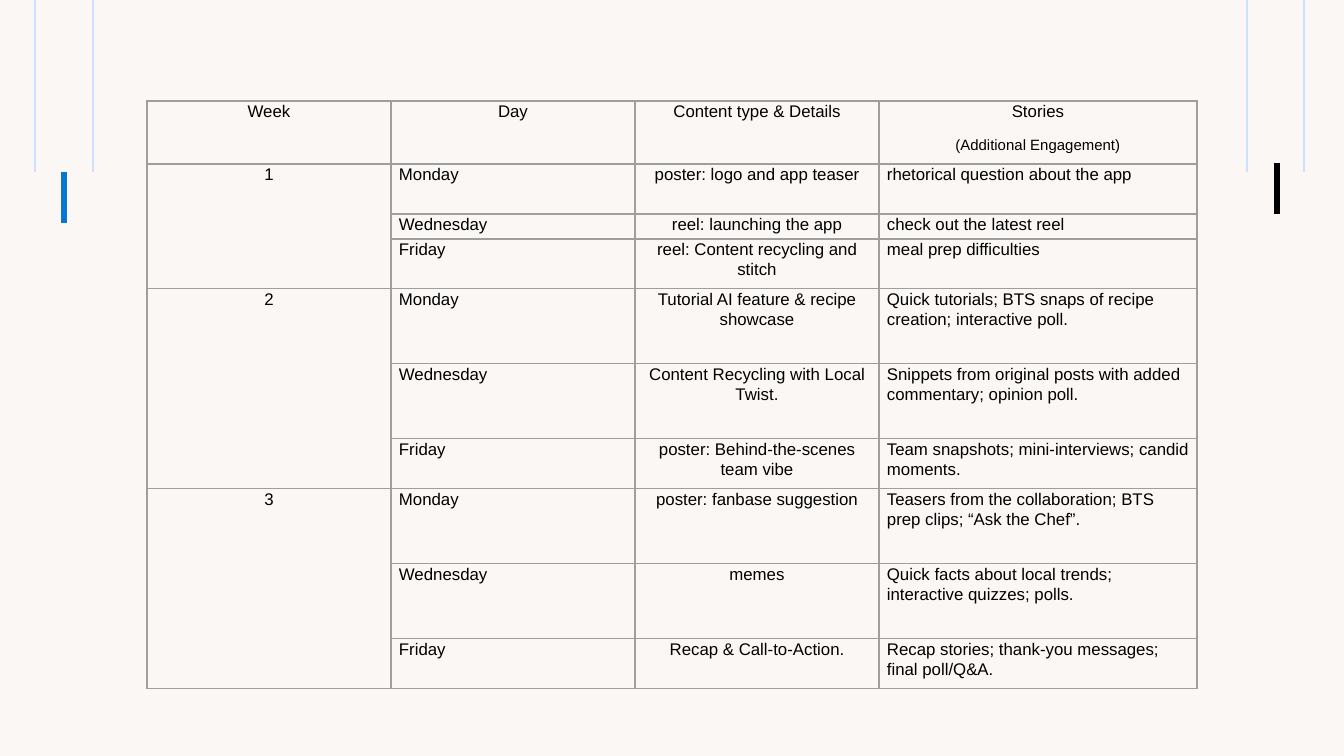
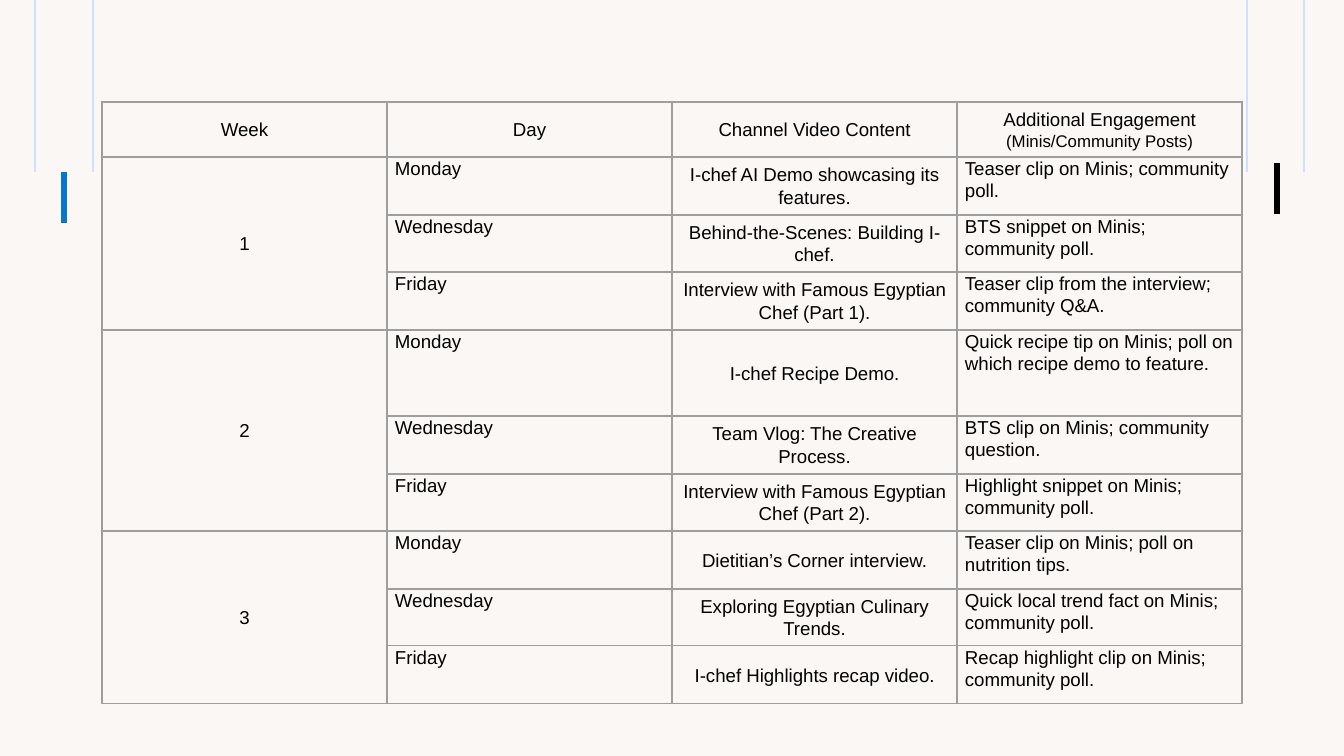
import pptx
import pptx.util
import pptx.dml.color
import pptx.enum.shapes
import pptx.enum.text
import pptx.oxml
import pptx.oxml.ns

PX = 914400 / 134.4
RGB = pptx.dml.color.RGBColor
PAPER = RGB(0xFB, 0xF7, 0xF4)
PALE = RGB(0xCE, 0xE0, 0xFF)
BLUE = RGB(0x06, 0x76, 0xD0)
BLACK = RGB(0, 0, 0)
GREY = RGB(0x9E, 0x9E, 0x9E)
FONT = "Arial"
TOP = pptx.enum.text.MSO_ANCHOR.TOP
MID = pptx.enum.text.MSO_ANCHOR.MIDDLE
LEFT = pptx.enum.text.PP_ALIGN.LEFT
CENTER = pptx.enum.text.PP_ALIGN.CENTER

# Side marks: x, top, bottom, colour, width in points
MARKS = [(x, 0, 172, PALE, 1.5) for x in (93, 35, 1304, 1247)]
MARKS += [(1277, 163, 214, BLACK, 3), (64, 172, 223, BLUE, 3)]

DAYS = ["Monday", "Wednesday", "Friday"]

POSTS = [
    ("poster: logo and app teaser", "rhetorical question about the app"),
    ("reel: launching the app", "check out the latest reel"),
    ("reel: Content recycling and stitch", "meal prep difficulties"),
    ("Tutorial AI feature & recipe showcase",
     "Quick tutorials; BTS snaps of recipe creation; interactive poll."),
    ("Content Recycling with Local Twist.",
     "Snippets from original posts with added commentary; opinion poll."),
    ("poster: Behind-the-scenes team vibe",
     "Team snapshots; mini-interviews; candid moments."),
    ("poster: fanbase suggestion",
     "Teasers from the collaboration; BTS prep clips; “Ask the Chef”."),
    ("memes", "Quick facts about local trends; interactive quizzes; polls."),
    ("Recap & Call-to-Action.",
     "Recap stories; thank-you messages; final poll/Q&A."),
]

VIDEOS = [
    ("I-chef AI Demo showcasing its features.",
     "Teaser clip on Minis; community poll."),
    ("Behind-the-Scenes: Building I-chef.",
     "BTS snippet on Minis; community poll."),
    ("Interview with Famous Egyptian Chef (Part 1).",
     "Teaser clip from the interview; community Q&A."),
    ("I-chef Recipe Demo.",
     "Quick recipe tip on Minis; poll on which recipe demo to feature."),
    ("Team Vlog: The Creative Process.",
     "BTS clip on Minis; community question."),
    ("Interview with Famous Egyptian Chef (Part 2).",
     "Highlight snippet on Minis; community poll."),
    ("Dietitian’s Corner interview.",
     "Teaser clip on Minis; poll on nutrition tips."),
    ("Exploring Egyptian Culinary Trends.",
     "Quick local trend fact on Minis; community poll."),
    ("I-chef Highlights recap video.",
     "Recap highlight clip on Minis; community poll."),
]


def px(n):
    return pptx.util.Emu(round(n * PX))


def style(item, **values):
    for name, value in values.items():
        setattr(item, name, value)


def mark(slide, x, top, bottom, color, width):
    line = slide.shapes.add_connector(
        pptx.enum.shapes.MSO_CONNECTOR.STRAIGHT,
        px(x), px(top), px(x), px(bottom))
    line.line.color.rgb = color
    line.line.width = pptx.util.Pt(width)
    line._element.spPr.append(pptx.oxml.parse_xml(
        f'<a:effectLst {pptx.oxml.ns.nsdecls("a")}/>'))


def edge(cell):
    props = cell._tc.get_or_add_tcPr()
    for side in "LRTB":
        props.append(pptx.oxml.parse_xml(
            f'<a:ln{side} {pptx.oxml.ns.nsdecls("a")} w="9525"><a:solidFill>'
            f'<a:srgbClr val="{GREY}"/></a:solidFill></a:ln{side}>'))
    cell.fill.background()


def write(cell, paras, align, anchor):
    """Each paragraph is a list of (text, size) runs."""
    style(cell, margin_left=px(8), margin_right=px(8), margin_top=0,
          margin_bottom=0, vertical_anchor=anchor)
    frame = cell.text_frame
    for i, runs in enumerate(paras):
        para = frame.add_paragraph() if i else frame.paragraphs[0]
        style(para, alignment=align, line_spacing=1.07,
              space_after=pptx.util.Pt(8))
        for text, size in runs:
            run = para.add_run()
            run.text = text
            style(run.font, name=FONT, size=pptx.util.Pt(size))
            run.font.color.rgb = BLACK


def plan(slide, x, y, cols, rows, heads, items, size, anchor):
    """Table of three weeks with three days each."""
    table = slide.shapes.add_table(
        len(rows), len(cols), px(x), px(y),
        px(sum(cols)), px(sum(rows))).table
    style(table, first_row=False, horz_banding=False)
    for col, width in zip(table.columns, cols):
        col.width = px(width)
    for row, height in zip(table.rows, rows):
        row.height = px(height)
    for cell in table.iter_cells():
        edge(cell)

    # Header row
    for c, paras in enumerate(heads):
        write(table.cell(0, c), paras, CENTER, anchor)

    # Weeks and days
    for i, (content, extra) in enumerate(items):
        r = i + 1
        week, day = divmod(i, len(DAYS))
        if day == 0:
            first = table.cell(r, 0)
            first.merge(table.cell(r + len(DAYS) - 1, 0))
            write(first, [[(str(week + 1), size)]], CENTER, anchor)
        write(table.cell(r, 1), [[(DAYS[day], size)]], LEFT, TOP)
        write(table.cell(r, 2), [[(content, size)]], CENTER, anchor)
        write(table.cell(r, 3), [[(extra, size)]], LEFT, TOP)


def start(deck):
    slide = deck.slides.add_slide(deck.slide_layouts[6])
    for args in MARKS:
        mark(slide, *args)
    return slide


def main():
    deck = pptx.Presentation()
    style(deck, slide_width=px(1344), slide_height=px(756))
    back = deck.slide_master.background.fill
    back.solid()
    back.fore_color.rgb = PAPER

    # Posts and stories
    heads = [[[(text, 9)]] for text in
             ("Week", "Day", "Content type & Details")]
    heads.append([[("Stories", 9)], [("(Additional Engagement)", 8)]])
    plan(start(deck), 147, 101, [244, 244, 244, 318],
         [63, 50, 25, 50] + [75, 75, 50] * 2, heads, POSTS, 9, TOP)

    # Videos
    heads = [[[(text, 10)]] for text in
             ("Week", "Day", "Channel Video Content")]
    heads.append([[("Additional Engagement ", 10),
                   ("(Minis/Community Posts)", 9)]])
    plan(start(deck), 102, 102, [285] * 4,
         [55, 58, 57, 58, 86, 58, 57, 58, 57, 58], heads, VIDEOS, 10, MID)

    deck.save("out.pptx")


if __name__ == "__main__":
    main()
